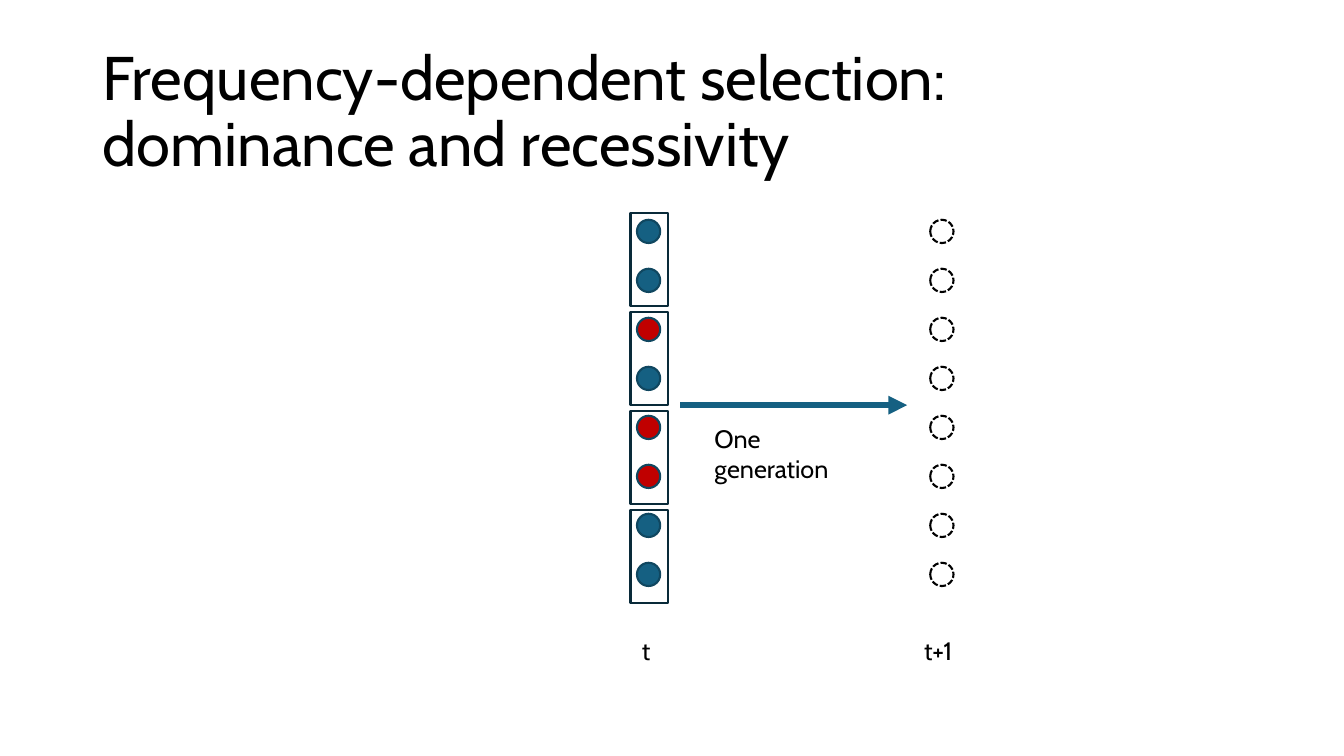
from lxml.etree import SubElement
from pptx import Presentation
from pptx.dml.color import RGBColor
from pptx.enum.dml import MSO_LINE
from pptx.enum.shapes import MSO_CONNECTOR, MSO_SHAPE
from pptx.enum.text import MSO_ANCHOR, MSO_AUTO_SIZE, PP_ALIGN
from pptx.oxml.ns import qn
from pptx.util import Pt

BLUE, RED, BLACK = "156082", "C00000", "000000"
CIRCLE_OUTLINE, PAIR_OUTLINE = "104760", "092A39"
ALLELES = [BLUE, BLUE, RED, BLUE, RED, RED, BLUE, BLUE]
NOW_LEFT, NEXT_LEFT = 455, 664.5
CIRCLE_TOP, CIRCLE_STEP, CIRCLE_SIZE = 157, 35, 16.6
PAIR_LEFT, PAIR_TOP, PAIR_STEP = 450.4, 152, 70.7
PAIR_WIDTH, PAIR_HEIGHT = 26.8, 66.4


def color(value):
    return RGBColor.from_string(value)


def write(frame, text, size=18, font="Cabin", ink=BLACK, anchor=MSO_ANCHOR.TOP, spacing=None):
    frame.word_wrap = True
    frame.auto_size = MSO_AUTO_SIZE.NONE
    frame.vertical_anchor = anchor
    para = frame.paragraphs[0]
    para.alignment = PP_ALIGN.LEFT
    para.line_spacing = spacing
    span = para.add_run()
    span.text = text
    span.font.size = Pt(size)
    span.font.name = font
    span.font.color.rgb = color(ink)


class Slide:
    def __init__(self, deck):
        self.page = deck.slides.add_slide(deck.slide_layouts[5])
        self.line_width = 1.5

    def title(self, text, left, top, width, height):
        box = self.page.shapes.title
        box.left, box.top, box.width, box.height = map(Pt, (left, top, width, height))
        write(box.text_frame, text, size=44, anchor=MSO_ANCHOR.MIDDLE, spacing=0.9)

    def label(self, text, left, top, width, height=29):
        box = self.page.shapes.add_textbox(*map(Pt, (left, top, width, height)))
        write(box.text_frame, text)

    def shape(self, kind, left, top, width, height, outline, fill=None, dash=None):
        shape = self.page.shapes.add_shape(kind, *map(Pt, (left, top, width, height)))
        shape.shadow.inherit = False
        if fill:
            shape.fill.solid()
            shape.fill.fore_color.rgb = color(fill)
        else:
            shape.fill.background()
        shape.line.color.rgb = color(outline)
        shape.line.width = Pt(self.line_width)
        if dash:
            shape.line.dash_style = dash

    def circle(self, left, row, outline, fill=None, dash=None):
        top = CIRCLE_TOP + row * CIRCLE_STEP
        self.shape(MSO_SHAPE.OVAL, left, top, CIRCLE_SIZE, CIRCLE_SIZE, outline, fill, dash)

    def arrow(self, start, end, height, ink, width):
        arrow = self.page.shapes.add_connector(
            MSO_CONNECTOR.STRAIGHT, Pt(start), Pt(height), Pt(end), Pt(height))
        arrow.line.color.rgb = color(ink)
        arrow.line.width = Pt(width)
        SubElement(arrow.line._get_or_add_ln(), qn("a:tailEnd"), type="triangle")
        SubElement(arrow._element.spPr, qn("a:effectLst"))


def main():
    deck = Presentation()
    deck.slide_width, deck.slide_height = Pt(960), Pt(540)
    slide = Slide(deck)
    slide.title("Frequency-dependent selection: dominance and recessivity", 66, 28.8, 828, 104.4)

    for row, allele in enumerate(ALLELES):
        slide.circle(NOW_LEFT, row, CIRCLE_OUTLINE, fill=allele)
    for row in range(len(ALLELES)):
        slide.circle(NEXT_LEFT, row, BLACK, dash=MSO_LINE.SQUARE_DOT)

    slide.arrow(486, 648, 289.4, BLUE, 4.5)
    slide.label("One generation", 503.3, 298.8, 129.6)
    slide.label("t", 451.4, 450, 21)
    slide.label("t+1", 653, 450, 39)

    for pair in range(len(ALLELES) // 2):
        slide.shape(MSO_SHAPE.RECTANGLE, PAIR_LEFT, PAIR_TOP + pair * PAIR_STEP,
                    PAIR_WIDTH, PAIR_HEIGHT, PAIR_OUTLINE)
    deck.save("out.pptx")


if __name__ == "__main__":
    main()
